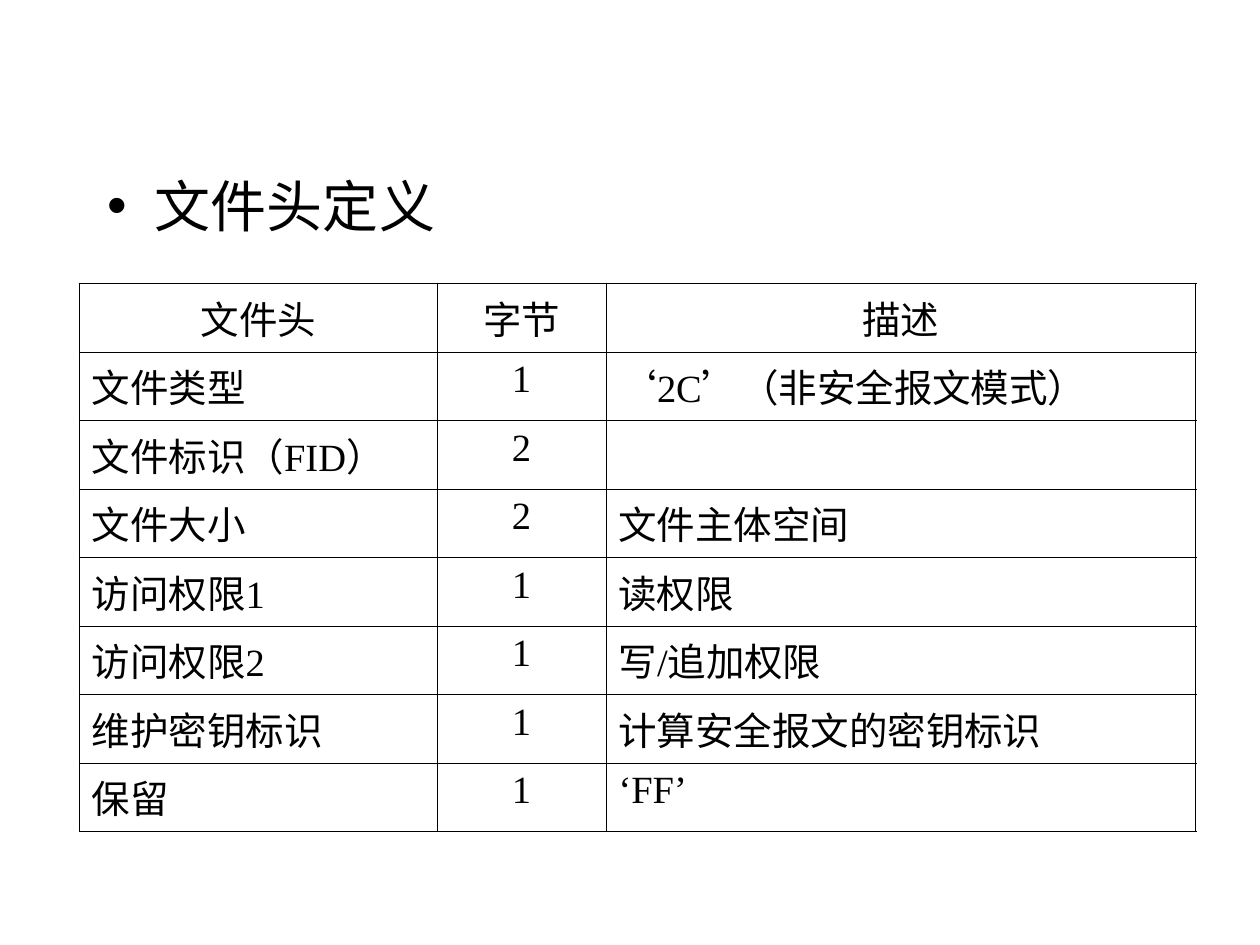
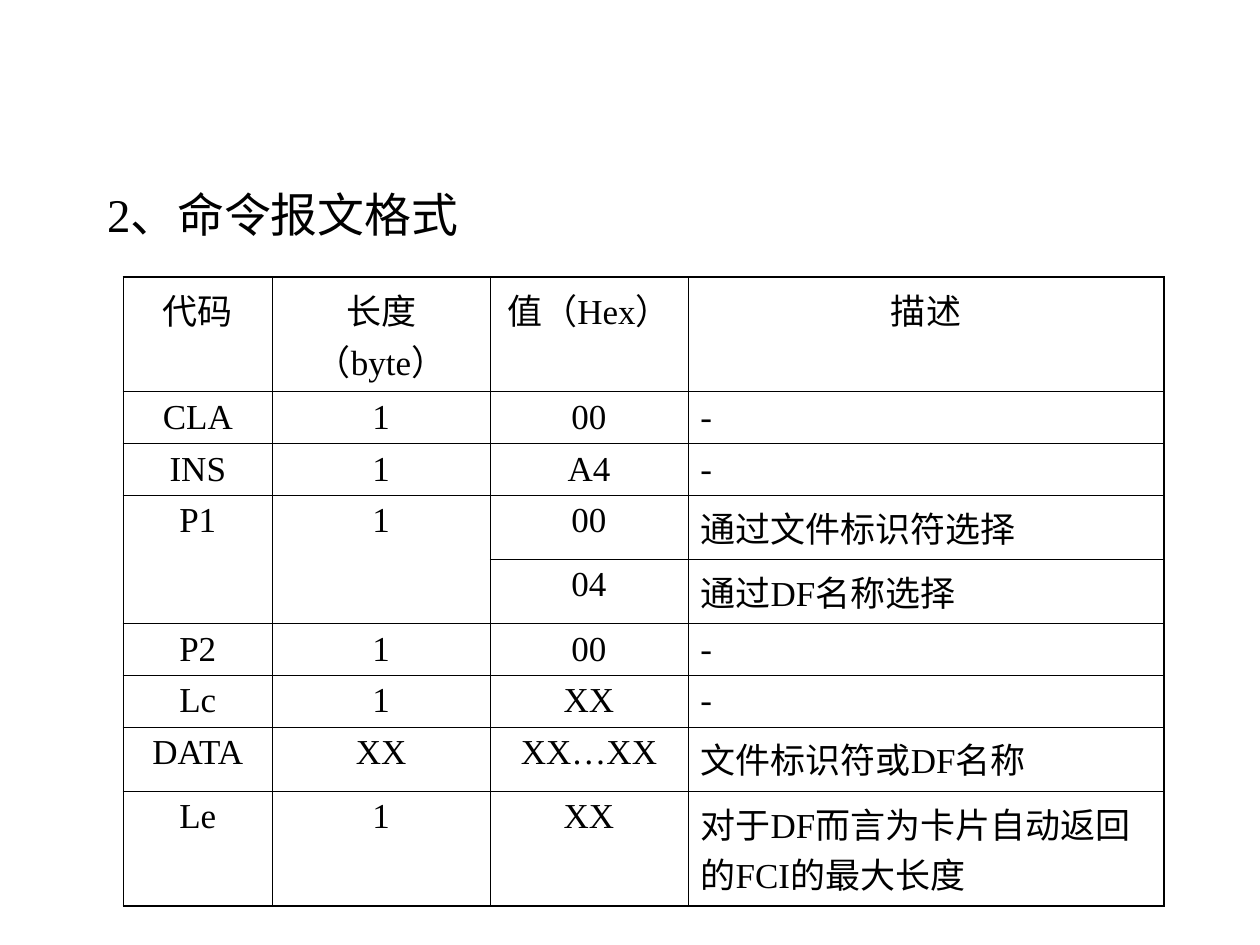
from lxml import etree
from pptx import Presentation
from pptx.dml.color import RGBColor
from pptx.enum.text import MSO_ANCHOR, MSO_AUTO_SIZE, PP_ALIGN
from pptx.oxml.ns import qn
from pptx.util import Inches, Pt

BLACK = RGBColor(0, 0, 0)
FONT = "Times New Roman"
OUTER_LINE, INNER_LINE = Pt(1.08), Pt(0.45)
HEADING_INDENT = Inches(0.38)
LEFT, CENTER = PP_ALIGN.LEFT, PP_ALIGN.CENTER

FILE_HEADER_ROWS = [
    ("文件头", "字节", "描述"),
    ("文件类型", "1", "‘2C’（非安全报文模式）"),
    ("文件标识（FID）", "2", ""),
    ("文件大小", "2", "文件主体空间"),
    ("访问权限1", "1", "读权限"),
    ("访问权限2", "1", "写/追加权限"),
    ("维护密钥标识", "1", "计算安全报文的密钥标识"),
    ("保留", "1", "‘FF’"),
]
COMMAND_ROWS = [
    ("代码", "长度（byte）", "值（Hex）", "描述"),
    ("CLA", "1", "00", "-"),
    ("INS", "1", "A4", "-"),
    ("P1", "1", "00", "通过文件标识符选择"),
    ("", "", "04", "通过DF名称选择"),
    ("P2", "1", "00", "-"),
    ("Lc", "1", "XX", "-"),
    ("DATA", "XX", "XX…XX", "文件标识符或DF名称"),
    ("Le", "1", "XX", "对于DF而言为卡片自动返回的FCI的最大长度"),
]


def add_span(para, text, size):
    span = para.add_run()
    span.text = text
    span.font.name = FONT
    span.font.size = Pt(size)
    span.font.bold = False
    span.font.color.rgb = BLACK


def add_page(deck):
    """Add a page that keeps only the body placeholder, used for its heading."""
    page = deck.slides.add_slide(deck.slide_layouts[1])
    title = page.shapes.title
    title.element.getparent().remove(title.element)
    return page


def place_heading(page, box, text, size, bullet=None):
    heading = page.placeholders[1]
    heading.left, heading.top, heading.width, heading.height = map(Inches, box)
    frame = heading.text_frame
    frame.word_wrap = True
    frame.auto_size = MSO_AUTO_SIZE.NONE
    frame.vertical_anchor = MSO_ANCHOR.TOP
    para = frame.paragraphs[0]
    para.space_before = Pt(0)
    properties = para._p.get_or_add_pPr()
    properties.set("marL", str(HEADING_INDENT))
    properties.set("indent", str(-HEADING_INDENT))
    if bullet:
        etree.SubElement(properties, qn("a:buChar"), char=bullet)
    else:
        etree.SubElement(properties, qn("a:buNone"))
    add_span(para, text, size)


def draw_borders(cell, widths):
    """Draw the left, right, top and bottom borders, in that order."""
    properties = cell._tc.get_or_add_tcPr()
    for side, width in zip("LRTB", widths):
        line = etree.SubElement(properties, qn(f"a:ln{side}"), w=str(width))
        fill = etree.SubElement(line, qn("a:solidFill"))
        etree.SubElement(fill, qn("a:srgbClr"), val=str(BLACK))


def add_grid(page, corner, rows, column_widths, row_heights, alignments, size):
    """Add a ruled table with a centred header row and a heavier outer frame."""
    left, top = corner
    lengths = (left, top, sum(column_widths), sum(row_heights))
    table = page.shapes.add_table(len(rows), len(column_widths), *map(Inches, lengths)).table
    table.first_row = table.horz_banding = False
    for column, width in zip(table.columns, column_widths):
        column.width = Inches(width)
    for row, height in zip(table.rows, row_heights):
        row.height = Inches(height)
    last_row, last_column = len(rows) - 1, len(column_widths) - 1
    for r, texts in enumerate(rows):
        for c, text in enumerate(texts):
            cell = table.cell(r, c)
            on_edge = (c == 0, c == last_column, r == 0, r == last_row)
            draw_borders(cell, [OUTER_LINE if edge else INNER_LINE for edge in on_edge])
            cell.fill.background()
            para = cell.text_frame.paragraphs[0]
            para.alignment = alignments[c] if r else CENTER
            if text:
                add_span(para, text, size)
    return table


def build_file_header_page(deck):
    page = add_page(deck)
    place_heading(page, (0.75, 1.31, 5.75, 0.71), "文件头定义", 32, bullet="•")
    add_grid(page, (0.63, 2.25), FILE_HEADER_ROWS, (2.84, 1.34, 4.68),
             [0.544] * len(FILE_HEADER_ROWS), (LEFT, CENTER, LEFT), 22)


def build_command_page(deck):
    page = add_page(deck)
    place_heading(page, (0.75, 1.42, 8.03, 0.55), "2、命令报文格式", 26.8)
    table = add_grid(page, (0.98, 2.2), COMMAND_ROWS, (1.18, 1.73, 1.57, 3.78),
                     (0.91, 0.41, 0.41, 0.51, 0.51, 0.41, 0.41, 0.51, 0.91),
                     (CENTER, CENTER, CENTER, LEFT), 20)
    for column in (0, 1):
        table.cell(3, column).merge(table.cell(4, column))


def main():
    deck = Presentation()
    deck.slide_width, deck.slide_height = Inches(10), Inches(7.5)
    build_file_header_page(deck)
    build_command_page(deck)
    deck.save("out.pptx")


if __name__ == "__main__":
    main()
